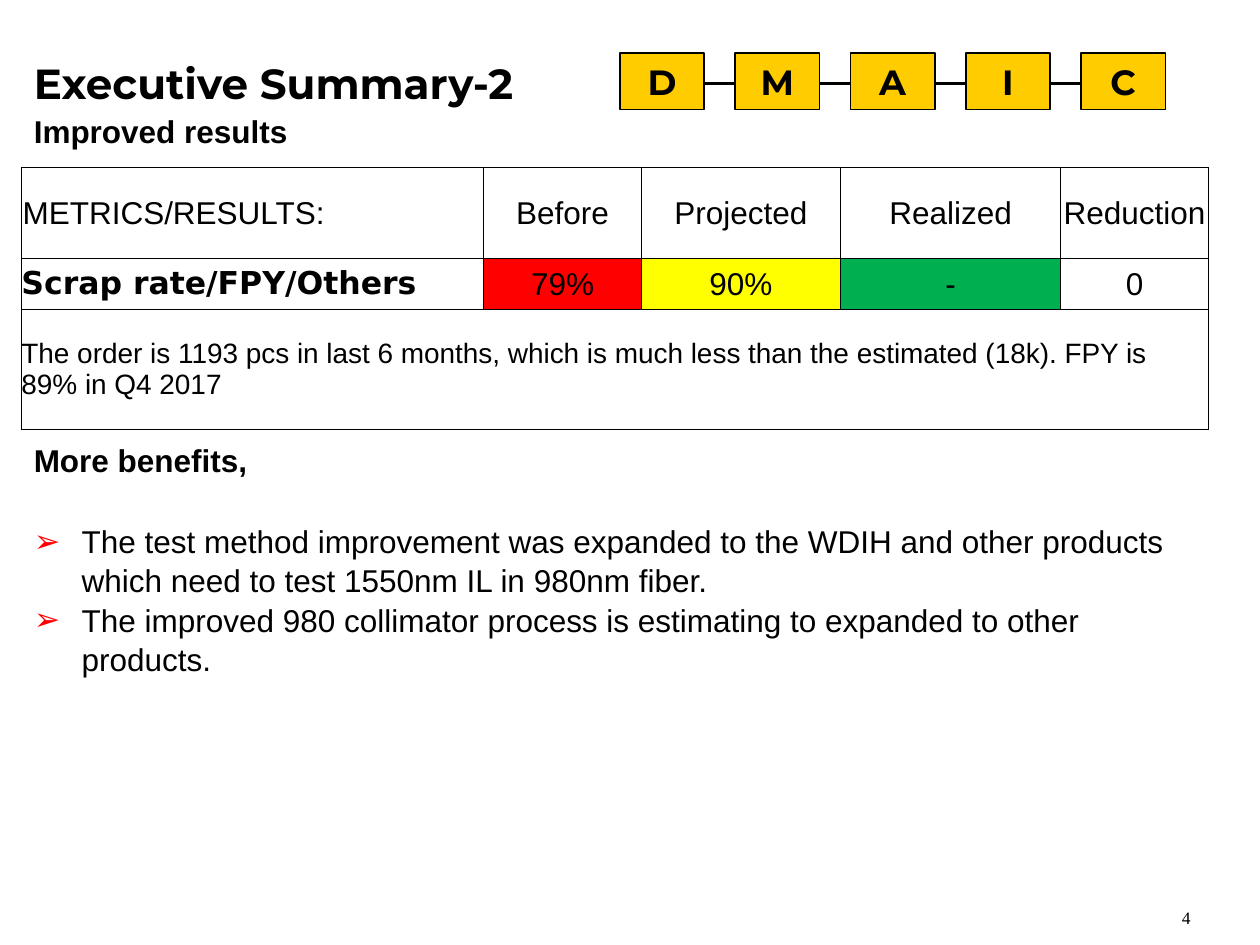
from lxml import etree
from pptx import Presentation
from pptx.dml.color import RGBColor
from pptx.enum.shapes import MSO_CONNECTOR, MSO_SHAPE
from pptx.enum.text import MSO_ANCHOR, PP_ALIGN
from pptx.oxml.ns import qn
from pptx.util import Inches, Pt

STRAIGHT, RECT = MSO_CONNECTOR.STRAIGHT, MSO_SHAPE.RECTANGLE
LEFT, CENTER = PP_ALIGN.LEFT, PP_ALIGN.CENTER
TOP, MIDDLE = MSO_ANCHOR.TOP, MSO_ANCHOR.MIDDLE

COLORS = {"ink": "000000", "step": "FFCC00", "bad": "FF0000",
          "fair": "FFFF00", "good": "00B050"}
HEAD, BODY, LABEL, NUMBER = "Montserrat", "Arial", "DejaVu Sans", "Times New Roman"


def rgb(name):
    return RGBColor.from_string(COLORS[name])


def add_text(p, text, size, font=BODY, bold=False, align=LEFT, spacing=None):
    p.alignment = align
    if spacing:
        p.line_spacing = spacing
    r = p.add_run()
    r.text = text
    r.font.size, r.font.name, r.font.bold = Pt(size), font, bold
    r.font.color.rgb = rgb("ink")


def add_box(s, x, y, w, h, anchor=TOP):
    tf = s.shapes.add_textbox(Inches(x), Inches(y), Inches(w), Inches(h)).text_frame
    tf.word_wrap = True
    tf.vertical_anchor = anchor
    return tf


def add_bullet(p, char, color, indent):
    pPr = p._p.get_or_add_pPr()
    pPr.set("marL", str(Inches(indent)))
    pPr.set("indent", str(-Inches(indent)))
    clr = etree.SubElement(pPr, qn("a:buClr"))
    etree.SubElement(clr, qn("a:srgbClr"), val=COLORS[color])
    etree.SubElement(pPr, qn("a:buFont"), typeface=BODY)
    etree.SubElement(pPr, qn("a:buChar"), char=char)


def add_borders(cell):
    tcPr = cell._tc.get_or_add_tcPr()
    for i, side in enumerate(("a:lnL", "a:lnR", "a:lnT", "a:lnB")):
        ln = etree.Element(qn(side), w=str(Pt(0.5)))
        fill = etree.SubElement(ln, qn("a:solidFill"))
        etree.SubElement(fill, qn("a:srgbClr"), val=COLORS["ink"])
        tcPr.insert(i, ln)


def phase_chain(s, x, y, w, h):
    """Five phase boxes joined by a line."""
    phases, box_w = "DMAIC", 0.67
    pitch = (w - box_w) / (len(phases) - 1)
    mid = Inches(y + h / 2 + 0.02)
    line = s.shapes.add_connector(STRAIGHT, Inches(x), mid, Inches(x + w - 0.08), mid)
    line.line.color.rgb = rgb("ink")
    line.line.width = Pt(1.5)
    etree.SubElement(line._element.spPr, qn("a:effectLst"))
    for i, phase in enumerate(phases):
        sp = s.shapes.add_shape(RECT, Inches(x + i * pitch), Inches(y),
                                Inches(box_w), Inches(h))
        sp.shadow.inherit = False
        sp.fill.solid()
        sp.fill.fore_color.rgb = rgb("step")
        sp.line.color.rgb = rgb("ink")
        sp.line.width = Pt(1)
        sp.text_frame.vertical_anchor = MIDDLE
        add_text(sp.text_frame.paragraphs[0], phase, 20, HEAD, True, CENTER)


def heading(s, x, y, w, h):
    tf = add_box(s, x, y, w, h)
    add_text(tf.paragraphs[0], "Executive Summary-2", 24, HEAD, True, spacing=1.2)
    add_text(tf.add_paragraph(), "Improved results", 18, bold=True, spacing=1.1)


def results_table(s, x, y, w, h):
    rows = [["METRICS/RESULTS:", "Before", "Projected", "Realized", "Reduction"],
            ["Scrap rate/FPY/Others", "79%", "90%", "-", "0"],
            ["The order is 1193 pcs in last 6 months, which is much less than "
             "the estimated (18k). FPY is 89% in Q4 2017", "", "", "", ""]]
    fills = {(1, 1): "bad", (1, 2): "fair", (1, 3): "good"}
    table = s.shapes.add_table(3, 5, Inches(x), Inches(y), Inches(w), Inches(h)).table
    table.first_row = table.horz_banding = False
    for col, width in zip(table.columns, (3.67, 1.25, 1.58, 1.75, 1.17)):
        col.width = Inches(width)
    for row, height in zip(table.rows, (0.72, 0.41, 0.95)):
        row.height = Inches(height)
    table.cell(2, 0).merge(table.cell(2, 4))

    for i, row in enumerate(rows):
        for j, text in enumerate(row):
            cell = table.cell(i, j)
            cell.vertical_anchor = MIDDLE
            inset = Inches(0.01 if i == 0 or j > 2 else 0)
            cell.margin_left = cell.margin_right = cell.margin_top = inset
            cell.margin_bottom = 0
            if (i, j) in fills:
                cell.fill.solid()
                cell.fill.fore_color.rgb = rgb(fills[i, j])
            else:
                cell.fill.background()
            add_borders(cell)
            if text:
                is_label = (i, j) == (1, 0)
                add_text(cell.text_frame.paragraphs[0], text, 16 if i == 2 else 18,
                         LABEL if is_label else BODY, is_label, CENTER if j else LEFT)


def benefits(s, x, y, w, h):
    items = ["The test method improvement was expanded to the WDIH and other "
             "products which need to test 1550nm IL in 980nm fiber.",
             "The improved 980 collimator process is estimating to expanded "
             "to other products."]
    tf = add_box(s, x, y, w, h)
    add_text(tf.paragraphs[0], "More benefits,", 18, bold=True, spacing=1.1)
    tf.paragraphs[0].space_after = Pt(24)
    for item in items:
        p = tf.add_paragraph()
        add_text(p, item, 18, spacing=1.04)
        add_bullet(p, "➢", "bad", 0.38)


def page_number(s, x, y, w, h):
    tf = add_box(s, x, y, w, h, MIDDLE)
    add_text(tf.paragraphs[0], "4", 10, NUMBER, align=CENTER)


def main():
    prs = Presentation()
    prs.slide_width, prs.slide_height = Inches(10), Inches(7.5)
    s = prs.slides.add_slide(prs.slide_layouts[6])
    phase_chain(s, 4.92, 0.42, 4.33, 0.45)
    heading(s, 0.17, 0.33, 9.5, 1)
    page_number(s, 9, 7.15, 0.83, 0.27)
    benefits(s, 0.17, 3.42, 9.5, 2.92)
    results_table(s, 0.17, 1.33, 9.42, 2.08)
    prs.save("out.pptx")


if __name__ == "__main__":
    main()
